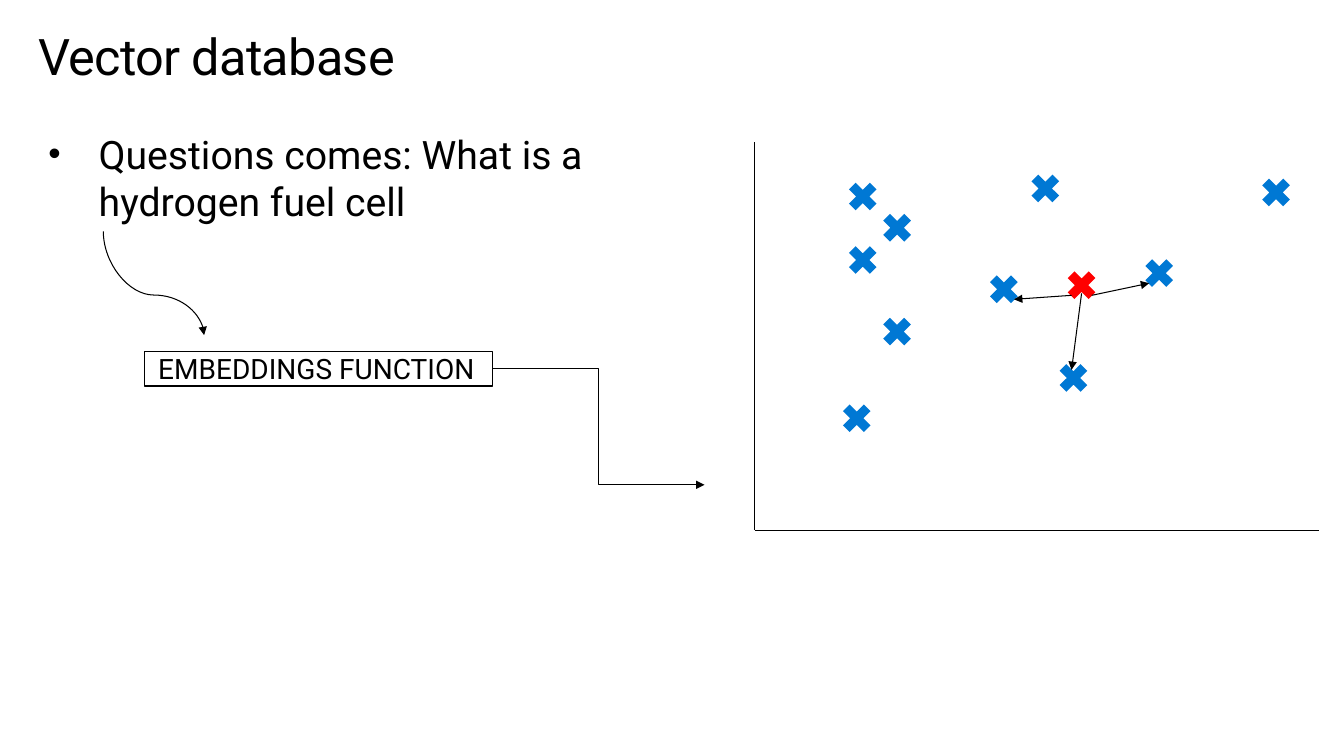
import pptx
import pptx.dml.color
import pptx.enum.shapes
import pptx.enum.text
import pptx.oxml.ns
import pptx.util
from lxml import etree

# Content: lengths are columns and rows of a grid with 0.1 inch cells
CELL = pptx.util.Inches(0.1)
COLUMNS, ROWS = 133.33, 75
FONT = "Roboto"
COLORS = {"ink": "000000", "paper": "FFFFFF", "stored": "0078D4", "query": "FF0000"}

TITLE = {"text": "Vector database", "box": (3.8, 2.5, 120.5, 6.1), "size": 36}
QUESTION = {"text": "Questions comes: What is a hydrogen fuel cell",
            "box": (4.8, 12.9, 66.7, 12.2), "size": 28}
FUNCTION = {"text": "EMBEDDINGS FUNCTION", "box": (14.3, 34.9, 34.6, 3.4), "size": 20}
BULLET_INDENT = 5
FUNCTION_INSET = 1.4

# Vector space: axes, centres of the marks, arrows to the nearest neighbours
ORIGIN = (74.9, 52.6)
AXIS_ENDS = [(74.9, 14.1), (130.9, 52.6)]
MARK_SIZE = 4
STORED_VECTORS = [(89, 22.6), (103.7, 18.7), (99.6, 28.7), (115, 27.1), (106.5, 37.5),
                  (126.6, 19.1), (85, 41.5), (89, 32.9), (85.6, 19.5), (85.6, 25.8)]
QUERY_VECTOR = (107.3, 28.3)
NEIGHBOUR_ARROWS = [((107.3, 29.1), (106.3, 36.7)),
                    ((108.3, 29.3), (114, 28.1)),
                    ((106.3, 29.3), (100.6, 29.7))]
FUNCTION_ARROW = ((48.9, 36.6), (69.9, 48.1))
# The curve lies along its own axis and is then turned and mirrored
CURVE_ARROW = ((10.1, 23.1), (20.4, 33.1))
CURVE_TURN = {"rot": "16200000", "flipH": "1"}
CURVE_BEND = "val 61400"

Shape = pptx.enum.shapes.MSO_SHAPE
Connector = pptx.enum.shapes.MSO_CONNECTOR
qn = pptx.oxml.ns.qn


def cells(*lengths):
    return [round(length * CELL) for length in lengths]


def color(name):
    return pptx.dml.color.RGBColor.from_string(COLORS[name])


def set_all(target, values):
    for name, value in values.items():
        setattr(target, name, value)


def write(shape, content, left_inset=0, bullet=False):
    frame = shape.text_frame
    set_all(frame, {"margin_left": cells(left_inset)[0], "margin_right": 0,
                    "margin_top": 0, "margin_bottom": 0, "word_wrap": True,
                    "vertical_anchor": pptx.enum.text.MSO_ANCHOR.TOP})
    paragraph = frame.paragraphs[0]
    paragraph.alignment = pptx.enum.text.PP_ALIGN.LEFT
    if bullet:
        indent = cells(BULLET_INDENT)[0]
        properties = paragraph._p.get_or_add_pPr()
        properties.set("marL", str(indent))
        properties.set("indent", str(-indent))
        etree.SubElement(properties, qn("a:buSzPct"), val="90000")
        etree.SubElement(properties, qn("a:buFont"), typeface="Arial")
        etree.SubElement(properties, qn("a:buChar"), char="•")
    run = paragraph.add_run()
    run.text = content["text"]
    set_all(run.font, {"name": FONT, "size": pptx.util.Pt(content["size"])})
    run.font.color.rgb = color("ink")
    return run


def add_text(slide, content, **options):
    return write(slide.shapes.add_textbox(*cells(*content["box"])), content, **options)


def add_filled(slide, kind, box, fill):
    shape = slide.shapes.add_shape(kind, *cells(*box))
    shape.shadow.inherit = False
    shape.fill.solid()
    shape.fill.fore_color.rgb = color(fill)
    shape.line.fill.background()
    return shape


def add_mark(slide, centre, fill):
    left, top = (middle - MARK_SIZE / 2 for middle in centre)
    add_filled(slide, Shape.MATH_MULTIPLY, (left, top, MARK_SIZE, MARK_SIZE), fill)


def add_line(slide, start, end, kind=Connector.STRAIGHT, arrow=True):
    connector = slide.shapes.add_connector(kind, *cells(*start, *end))
    connector.line.width = pptx.util.Pt(0.75)
    connector.line.color.rgb = color("ink")
    if arrow:
        etree.SubElement(connector.line._get_or_add_ln(), qn("a:tailEnd"), type="triangle")
    etree.SubElement(connector._element.spPr, qn("a:effectLst"))
    return connector


def main():
    presentation = pptx.Presentation()
    width, height = cells(COLUMNS, ROWS)
    set_all(presentation, {"slide_width": width, "slide_height": height})
    slide = presentation.slides.add_slide(presentation.slide_layouts[6])

    # Title and question
    title_run = add_text(slide, TITLE)
    title_run._r.get_or_add_rPr().set("spc", "-50")
    add_text(slide, QUESTION, bullet=True)

    # Vector space
    for axis_end in AXIS_ENDS:
        add_line(slide, ORIGIN, axis_end, arrow=False)
    for centre in STORED_VECTORS:
        add_mark(slide, centre, "stored")
    add_mark(slide, QUERY_VECTOR, "query")
    for start, end in NEIGHBOUR_ARROWS:
        add_line(slide, start, end)

    # Embeddings function and the way through it
    function = add_filled(slide, Shape.RECTANGLE, FUNCTION["box"], "paper")
    function.line.color.rgb = color("ink")
    function.line.width = pptx.util.Pt(0.85)
    write(function, FUNCTION, left_inset=FUNCTION_INSET)
    add_line(slide, *FUNCTION_ARROW, kind=Connector.ELBOW).begin_connect(function, 3)

    curve = add_line(slide, *CURVE_ARROW, kind=Connector.CURVE)
    properties = curve._element.spPr
    for name, value in CURVE_TURN.items():
        properties.find(qn("a:xfrm")).set(name, value)
    adjustments = properties.find(qn("a:prstGeom")).find(qn("a:avLst"))
    etree.SubElement(adjustments, qn("a:gd"), name="adj1", fmla=CURVE_BEND)

    presentation.save("out.pptx")


if __name__ == "__main__":
    main()
